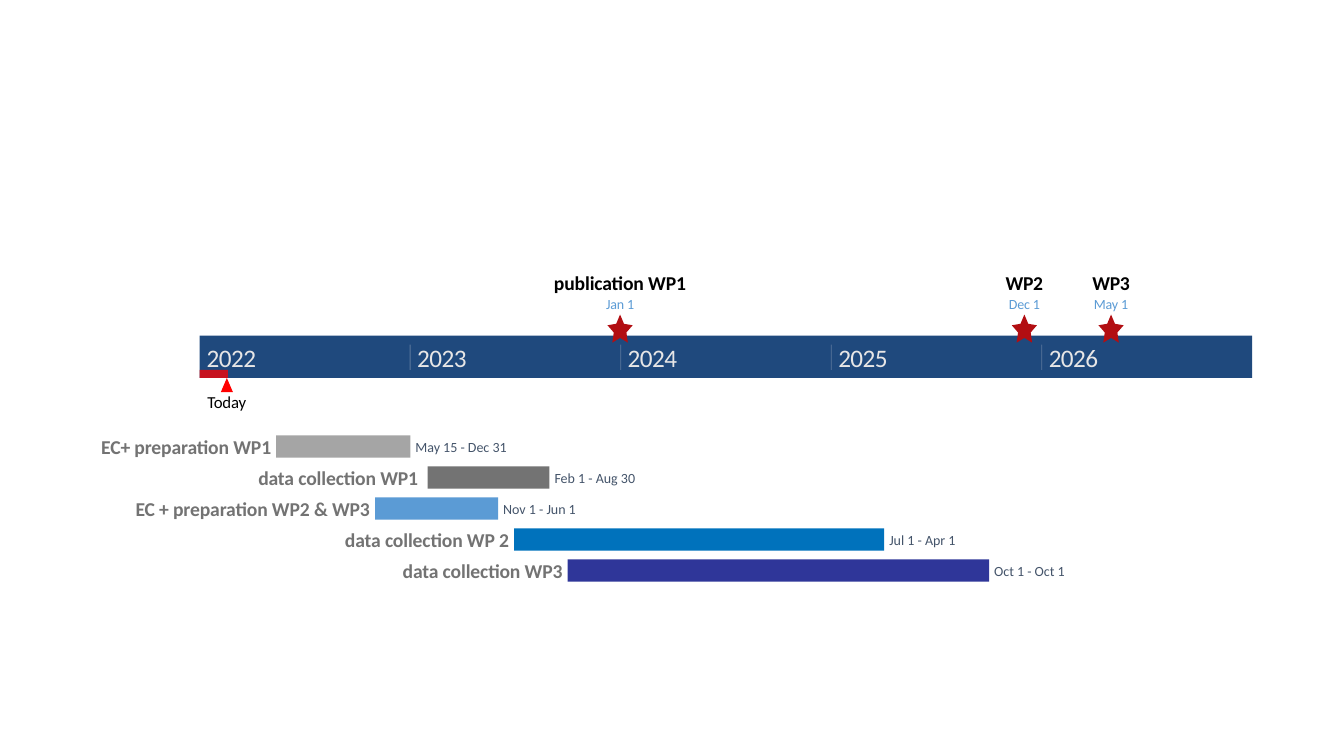
from dataclasses import dataclass

from lxml import etree
from pptx import Presentation
from pptx.dml.color import RGBColor
from pptx.enum import shapes, text
from pptx.oxml import ns
from pptx.util import Inches, Pt


@dataclass(frozen=True)
class Theme:
    font: str = "Calibri"
    band: str = "1F497D"
    year: str = "E7E6E6"
    today: str = "FF0000"
    star: str = "B20E12"
    ink: str = "000000"
    task: str = "737373"
    period: str = "44546A"
    date: str = "5B9BD5"
    year_size: int = 18
    name_size: int = 14
    today_size: int = 12
    date_size: int = 10


THEME = Theme()
SHAPE = shapes.MSO_SHAPE
ALIGN = text.PP_ALIGN
BAND_LEFT, BAND_TOP, BAND_WIDTH, BAND_HEIGHT = 1.98, 3.33, 10.44, 0.42
YEARS = ["2022", "2023", "2024", "2025", "2026"]
YEAR_WIDTH = BAND_WIDTH / len(YEARS)
TASKS_TOP, TASKS_SPAN, TASK_HEIGHT, TASK_GAP = 4.32, 1.23, 0.22, 0.05

TASKS = [
    ("EC+ preparation WP1", 1.72, 2.74, 1.33, "A5A5A5", "May 15 - Dec 31", 0.92),
    ("data collection WP1 ", 1.65, 4.24, 1.21, "737373", "Feb 1 - Aug 30", 0.81),
    ("EC + preparation WP2 & WP3", 2.36, 3.72, 1.22, "5B9BD5", "Nov 1 - Jun 1", 0.74),
    ("data collection WP 2", 1.65, 5.1, 3.67, "0072BC", "Jul 1 - Apr 1", 0.67),
    ("data collection WP3", 1.61, 5.63, 4.18, "2F3699", "Oct 1 - Oct 1", 0.71),
]
MILESTONES = [
    ("publication WP1", 1.33, "Jan 1", 0.29, 6.15, -0.1),
    ("WP2", 0.39, "Dec 1", 0.32, 10.16, -0.3),
    ("WP3", 0.39, "May 1", 0.36, 11.02, -0.3),
]


def set_alpha(shape, percent):
    color = shape._element.spPr.find(".//" + ns.qn("a:srgbClr"))
    etree.SubElement(color, ns.qn("a:alpha")).set("val", str(percent * 1000))


def add_shape(s, kind, left, top, width, height, color):
    sp = s.shapes.add_shape(kind, Inches(left), Inches(top), Inches(width), Inches(height))
    sp.shadow.inherit = False
    sp.fill.solid()
    sp.fill.fore_color.rgb = RGBColor.from_string(color)
    sp.line.fill.background()
    return sp


def add_label(s, words, left, top, width, height, size, color,
              align=ALIGN.LEFT, bold=False, spacing=0):
    sp = s.shapes.add_textbox(Inches(left), Inches(top), Inches(width), Inches(height))
    tf = sp.text_frame
    tf.margin_left = tf.margin_right = tf.margin_top = tf.margin_bottom = 0
    tf.vertical_anchor = text.MSO_ANCHOR.MIDDLE
    tf.word_wrap = False
    p = tf.paragraphs[0]
    p.alignment = align
    p.font.name = THEME.font
    p.font.size = Pt(size)
    p.font.bold = bold
    p.font.color.rgb = RGBColor.from_string(color)
    r = p.add_run()
    r.text = words
    if spacing:
        r._r.get_or_add_rPr().set("spc", str(round(spacing * 100)))


def add_divider(s, x):
    line = s.shapes.add_connector(shapes.MSO_CONNECTOR.STRAIGHT,
                                  Inches(x), Inches(3.42), Inches(x), Inches(3.67))
    line.line.color.rgb = RGBColor.from_string(THEME.year)
    line.line.width = Pt(0.6)
    set_alpha(line, 30)
    etree.SubElement(line._element.spPr, ns.qn("a:effectLst"))


def add_year_band(s):
    add_shape(s, SHAPE.RECTANGLE, BAND_LEFT, BAND_TOP, BAND_WIDTH, BAND_HEIGHT, THEME.band)
    elapsed = add_shape(s, SHAPE.RECTANGLE, BAND_LEFT, 3.67, 0.28, 0.08, THEME.today)
    set_alpha(elapsed, 75)
    add_shape(s, SHAPE.ISOSCELES_TRIANGLE, 2.19, 3.75, 0.12, 0.14, THEME.today)
    add_label(s, "Today", 2.05, 3.89, 0.4, 0.2, THEME.today_size, THEME.ink,
              ALIGN.CENTER, spacing=-0.1)
    for i, year in enumerate(YEARS):
        x = BAND_LEFT + i * YEAR_WIDTH
        add_label(s, year, x + 0.07, 3.39, 0.49, 0.31, THEME.year_size, THEME.year, spacing=-0.4)
        if i:
            add_divider(s, x)


def add_task(s, top, name, name_width, left, width, color, period, period_width):
    add_shape(s, SHAPE.RECTANGLE, left, top, width, TASK_HEIGHT, color)
    add_label(s, name, left - TASK_GAP - name_width, top - 0.01, name_width, 0.24,
              THEME.name_size, THEME.task, ALIGN.RIGHT, bold=True, spacing=-0.1)
    add_label(s, period, left + width + TASK_GAP, top + 0.03, period_width, 0.17,
              THEME.date_size, THEME.period)


def add_milestone(s, name, name_width, date, date_width, center, spacing):
    star = add_shape(s, SHAPE.STAR_5_POINT, center - 0.125, 3.12, 0.25, 0.28, THEME.star)
    star.adjustments[0] = 0.25
    add_label(s, name, center - name_width / 2, 2.68, name_width, 0.24,
              THEME.name_size, THEME.ink, ALIGN.CENTER, bold=True, spacing=spacing)
    add_label(s, date, center - date_width / 2, 2.93, date_width, 0.17,
              THEME.date_size, THEME.date, ALIGN.CENTER, spacing=-0.1)


def main():
    prs = Presentation()
    prs.slide_width, prs.slide_height = Inches(13.33), Inches(7.5)
    s = prs.slides.add_slide(prs.slide_layouts[6])
    add_year_band(s)
    for i, task in enumerate(TASKS):
        add_task(s, TASKS_TOP + i * TASKS_SPAN / (len(TASKS) - 1), *task)
    for milestone in MILESTONES:
        add_milestone(s, *milestone)
    prs.save("out.pptx")


if __name__ == "__main__":
    main()
